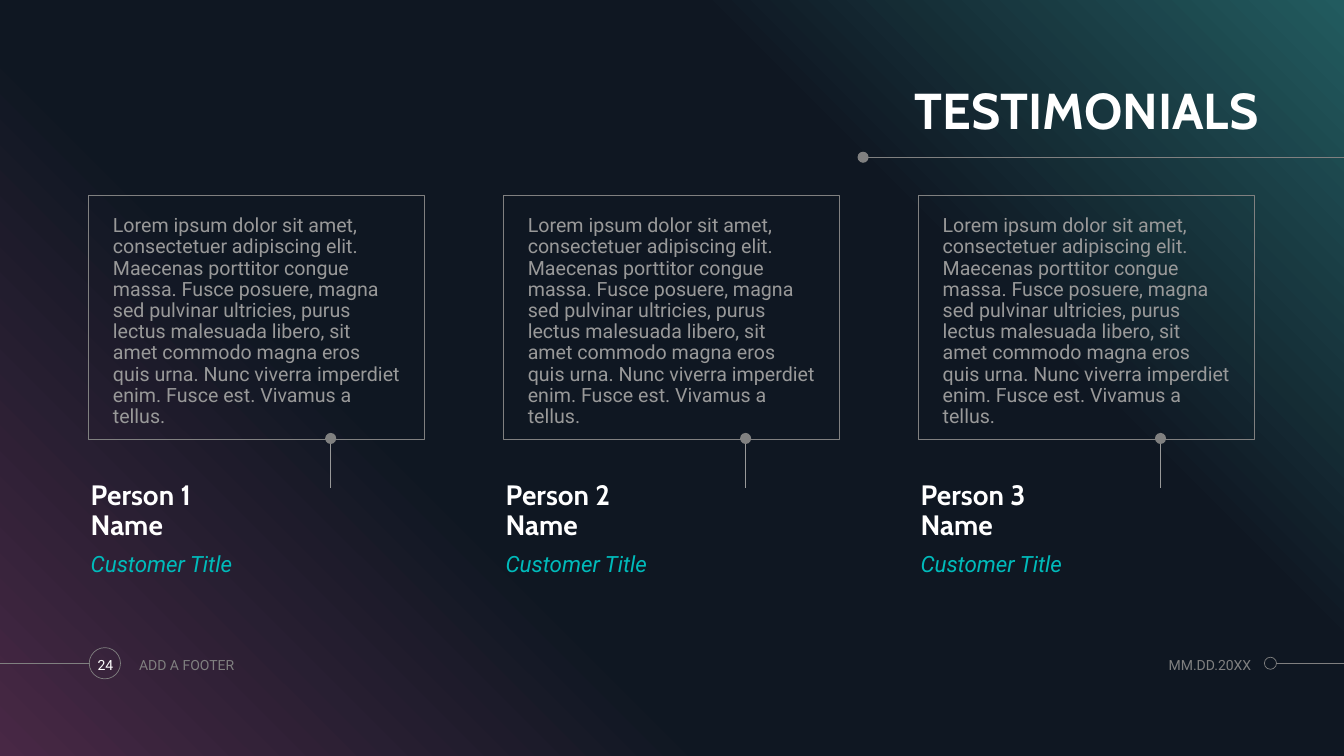
from lxml import etree
from pptx import Presentation
from pptx.dml.color import RGBColor
from pptx.enum import shapes, text
from pptx.oxml import ns
from pptx.util import Inches, Pt

COLORS = {
    "purple": "482845", "night": "0F1722", "teal": "225B5F",
    "grey": "808080", "quote": "999999", "white": "FFFFFF", "role": "00BBBB",
}
QUOTE = (
    "Lorem ipsum dolor sit amet, consectetuer adipiscing elit. Maecenas porttitor "
    "congue massa. Fusce posuere, magna sed pulvinar ultricies, purus lectus "
    "malesuada libero, sit amet commodo magna eros quis urna. Nunc viverra "
    "imperdiet enim. Fusce est. Vivamus a tellus."
)

prs = Presentation()
prs.slide_width, prs.slide_height = Inches(13.33), Inches(7.5)
slide = prs.slides.add_slide(prs.slide_layouts[5])

backdrop = slide.background.fill
backdrop.gradient()
backdrop.gradient_angle = 45
stops = slide.element.find(".//" + ns.qn("a:gsLst"))
for old_stop in list(stops):
    stops.remove(old_stop)
for percent, color in [(0, "purple"), (34, "night"), (69, "night"), (100, "teal")]:
    stop = etree.SubElement(stops, ns.qn("a:gs"), pos=str(percent * 1000))
    etree.SubElement(stop, ns.qn("a:srgbClr"), val=COLORS[color])


def write(holder, words, size, color, font="Roboto", bold=False, italic=False,
          align=text.PP_ALIGN.LEFT, anchor=text.MSO_ANCHOR.TOP,
          spacing=1.0, insets=(0, 0)):
    frame = holder.text_frame
    frame.text = words
    frame.word_wrap = True
    frame.auto_size = text.MSO_AUTO_SIZE.NONE
    frame.vertical_anchor = anchor
    frame.margin_left = frame.margin_right = Inches(insets[0])
    frame.margin_top = frame.margin_bottom = Inches(insets[1])
    paragraph = frame.paragraphs[0]
    paragraph.alignment = align
    paragraph.line_spacing = spacing
    paragraph.space_before = Pt(0)
    paragraph.font.name = font
    paragraph.font.size = Pt(size)
    paragraph.font.bold = bold
    paragraph.font.italic = italic
    paragraph.font.color.rgb = RGBColor.from_string(COLORS[color])


title = slide.shapes.title
title.left, title.top = Inches(5.58), Inches(0.77)
title.width, title.height = Inches(6.9), Inches(0.62)
write(title, "TESTIMONIALS", 36, "white", "Cabin", bold=True,
      align=text.PP_ALIGN.RIGHT, anchor=text.MSO_ANCHOR.BOTTOM, spacing=0.9)

columns = [0.88 + 4.115 * index for index in range(3)]

rules = [(8.59, 1.56, 13.33, 1.56, "grey"), (12.66, 6.58, 13.33, 6.58, "grey"),
         (0, 6.58, 0.89, 6.58, "grey")]
rules += [(left + 2.4, 4.84, left + 2.4, 4.36, "quote") for left in columns]
for x1, y1, x2, y2, color in rules:
    rule = slide.shapes.add_connector(
        shapes.MSO_CONNECTOR.STRAIGHT, Inches(x1), Inches(y1), Inches(x2), Inches(y2))
    rule.line.color.rgb = RGBColor.from_string(COLORS[color])
    rule.line.width = Pt(0.5)
    etree.SubElement(rule.element.spPr, ns.qn("a:effectLst"))

dots = [(8.56, 1.56, 0.11, True), (12.6, 6.58, 0.12, False), (1.04, 6.58, 0.31, False)]
dots += [(left + 2.4, 4.35, 0.11, True) for left in columns]
for x, y, diameter, solid in dots:
    dot = slide.shapes.add_shape(
        shapes.MSO_SHAPE.OVAL, Inches(x - diameter / 2), Inches(y - diameter / 2),
        Inches(diameter), Inches(diameter))
    dot.shadow.inherit = False
    if solid:
        dot.fill.solid()
        dot.fill.fore_color.rgb = RGBColor.from_string(COLORS["grey"])
        dot.line.fill.background()
    else:
        dot.fill.background()
        dot.line.color.rgb = RGBColor.from_string(COLORS["grey"])
        dot.line.width = Pt(0.5)

for number, left in enumerate(columns, 1):
    quote = slide.shapes.add_shape(
        shapes.MSO_SHAPE.RECTANGLE, Inches(left), Inches(1.94), Inches(3.33), Inches(2.42))
    quote.shadow.inherit = False
    quote.fill.background()
    quote.line.color.rgb = RGBColor.from_string(COLORS["grey"])
    quote.line.width = Pt(0.75)
    write(quote, QUOTE, 14, "quote", spacing=0.9, insets=(0.24, 0.2))

    person = slide.shapes.add_textbox(
        Inches(left + 0.02), Inches(4.58), Inches(1.78), Inches(0.79))
    write(person, f"Person {number}\vName", 20, "white", "Cabin", bold=True,
          anchor=text.MSO_ANCHOR.BOTTOM, spacing=0.9)

    role = slide.shapes.add_textbox(
        Inches(left + 0.02), Inches(5.46), Inches(1.78), Inches(0.36))
    write(role, "Customer Title", 16, "role", italic=True)

for left, width, words, color, align in [
    (0.85, 0.39, "24", "white", text.PP_ALIGN.CENTER),
    (1.38, 3.09, "ADD A FOOTER", "grey", text.PP_ALIGN.LEFT),
    (10.95, 1.46, "MM.DD.20XX", "grey", text.PP_ALIGN.RIGHT),
]:
    footer = slide.shapes.add_textbox(Inches(left), Inches(6.43), Inches(width), Inches(0.33))
    write(footer, words, 10, color, align=align, anchor=text.MSO_ANCHOR.MIDDLE)

prs.save("out.pptx")
